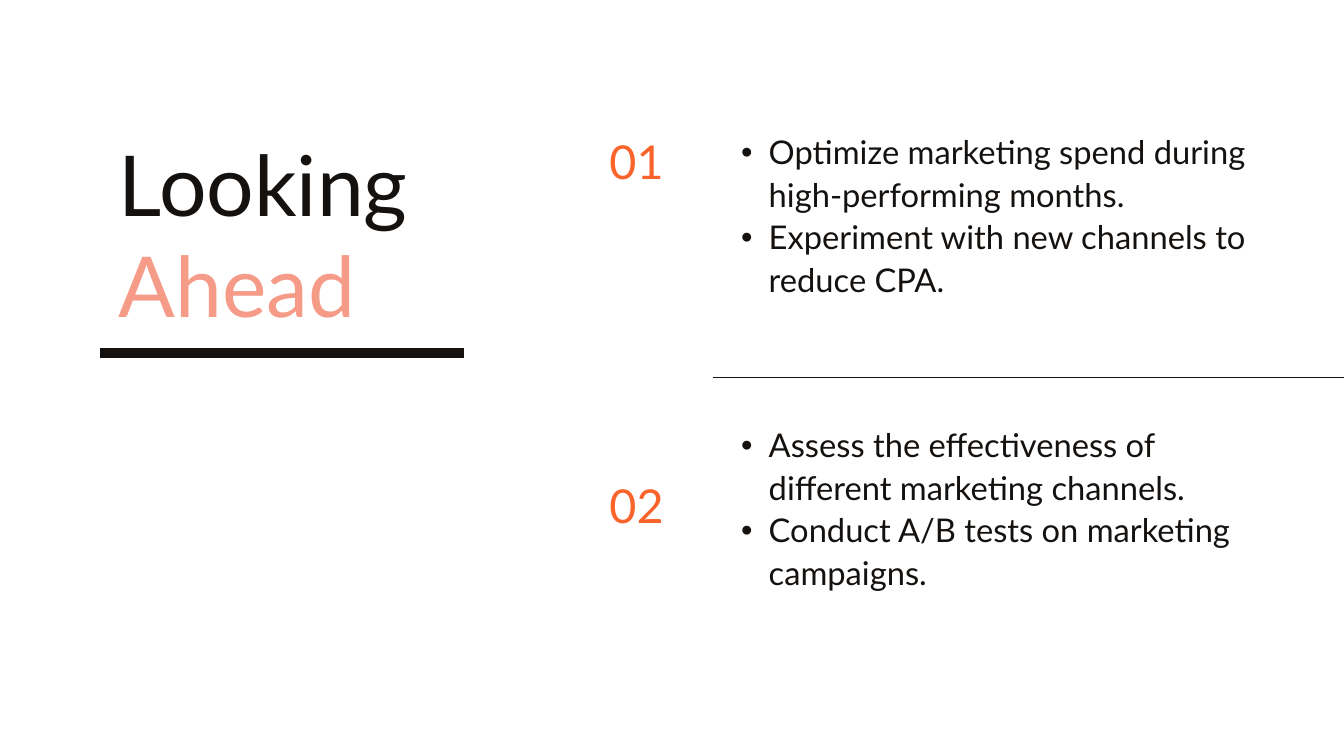
from lxml import etree
from pptx import Presentation
from pptx.dml.color import RGBColor
from pptx.enum.shapes import MSO_CONNECTOR
from pptx.enum.text import MSO_AUTO_SIZE
from pptx.oxml.ns import qn
from pptx.util import Inches, Pt

STRAIGHT = MSO_CONNECTOR.STRAIGHT
GROW = MSO_AUTO_SIZE.SHAPE_TO_FIT_TEXT
INK = RGBColor(0x14, 0x11, 0x0F)
ORANGE = RGBColor(0xFA, 0x63, 0x2A)
SALMON = RGBColor(0xF5, 0x9B, 0x87)
WHITE = RGBColor(0xFF, 0xFF, 0xFF)

FRAME_FORMAT = {
    "margin_left": 0,
    "margin_top": 0,
    "margin_right": 0,
    "margin_bottom": 0,
    "word_wrap": True,
    "auto_size": GROW,
}


def add_text(shapes, box, paragraphs, size, spacing, bulleted=False):
    frame = shapes.add_textbox(*map(Inches, box)).text_frame
    for name, value in FRAME_FORMAT.items():
        setattr(frame, name, value)
    for index, lines in enumerate(paragraphs):
        paragraph = frame.add_paragraph() if index else frame.paragraphs[0]
        paragraph.line_spacing = Pt(spacing)
        if bulleted:
            paragraph.level = 1
            properties = paragraph._p.get_or_add_pPr()
            properties.set("marL", str(Inches(0.83)))
            properties.set("indent", str(Inches(-0.41)))
            etree.SubElement(properties, qn("a:buFont")).set("typeface", "Arial")
            etree.SubElement(properties, qn("a:buChar")).set("char", "•")
        for position, (words, color) in enumerate(lines):
            if position:
                paragraph.add_line_break()
            run = paragraph.add_run()
            run.text = words
            run.font.name = "Lato"
            run.font.size = Pt(size)
            run.font.color.rgb = color


def add_rule(shapes, left, right, y, weight):
    rule = shapes.add_connector(
        STRAIGHT, Inches(left), Inches(y), Inches(right), Inches(y)
    )
    rule.line.color.rgb = INK
    rule.line.width = Pt(weight)
    etree.SubElement(rule._element.spPr, qn("a:effectLst"))


presentation = Presentation()
presentation.slide_width = Inches(20)
presentation.slide_height = Inches(11.25)
slide = presentation.slides.add_slide(presentation.slide_layouts[6])
slide.background.fill.solid()
slide.background.fill.fore_color.rgb = WHITE

steps = [
    ("01", 1.97, 1.92, 3.75, [
        "Optimize marketing spend during high-performing months.",
        "Experiment with new channels to reduce CPA.",
    ]),
    ("02", 7.09, 6.28, 3.13, [
        "Assess the effectiveness of different marketing channels.",
        "Conduct A/B tests on marketing campaigns.",
    ]),
]
for number, number_top, actions_top, actions_height, actions in steps:
    add_text(slide.shapes, (10.61, actions_top, 7.93, actions_height),
             [[(action, INK)] for action in actions], 35, 45.5, bulleted=True)
    add_text(slide.shapes, (9.07, number_top, 0.93, 0.84),
             [[(number, ORANGE)]], 50, 60)

add_rule(slide.shapes, 10.61, 20, 5.62, 0.75)

heading = slide.shapes.add_group_shape()
add_text(heading.shapes, (1.77, 1.97, 4.91, 3.01),
         [[("Looking", INK), ("Ahead", SALMON)]], 90, 108)
add_rule(heading.shapes, 1.49, 6.91, 5.25, 11)

presentation.save("out.pptx")
